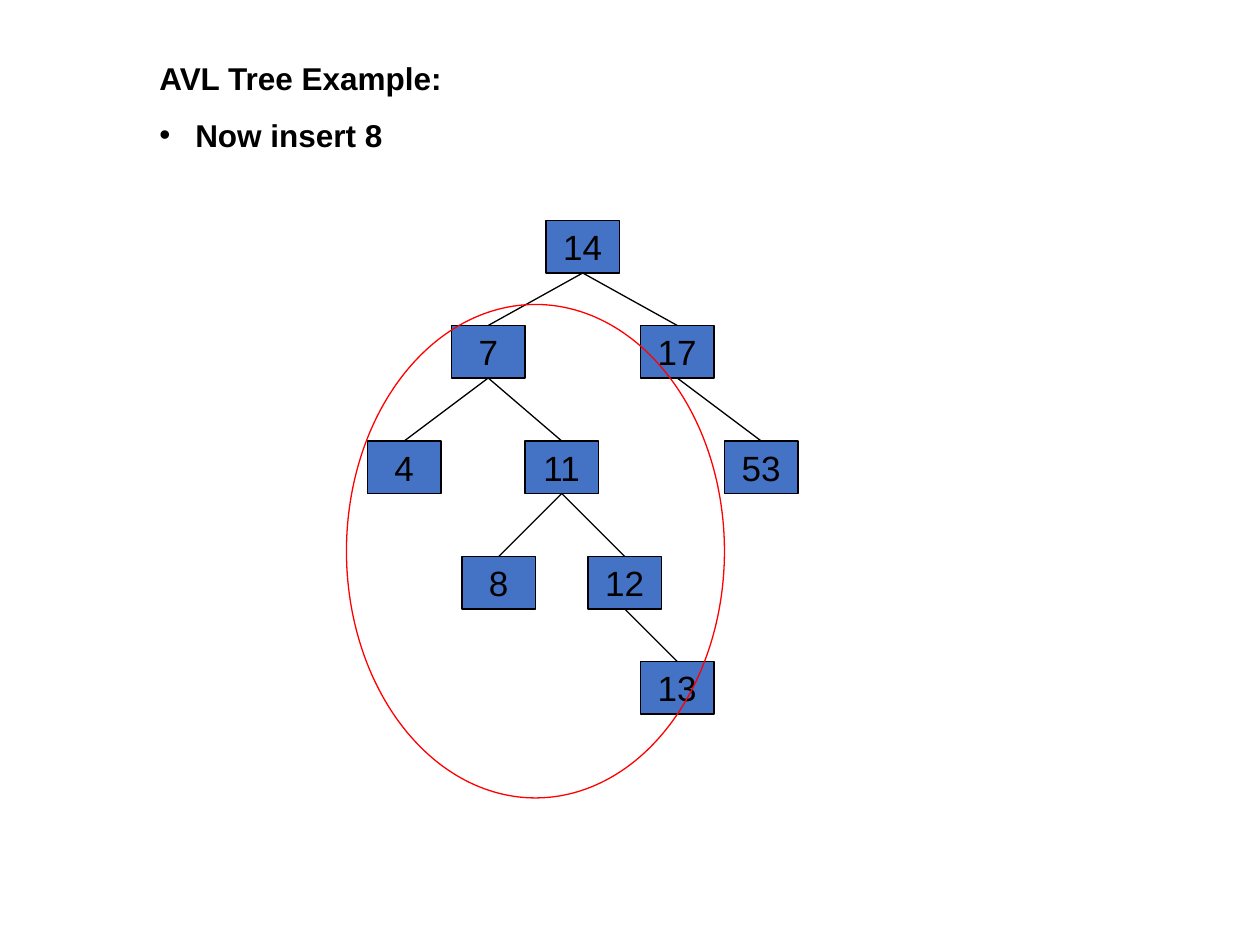
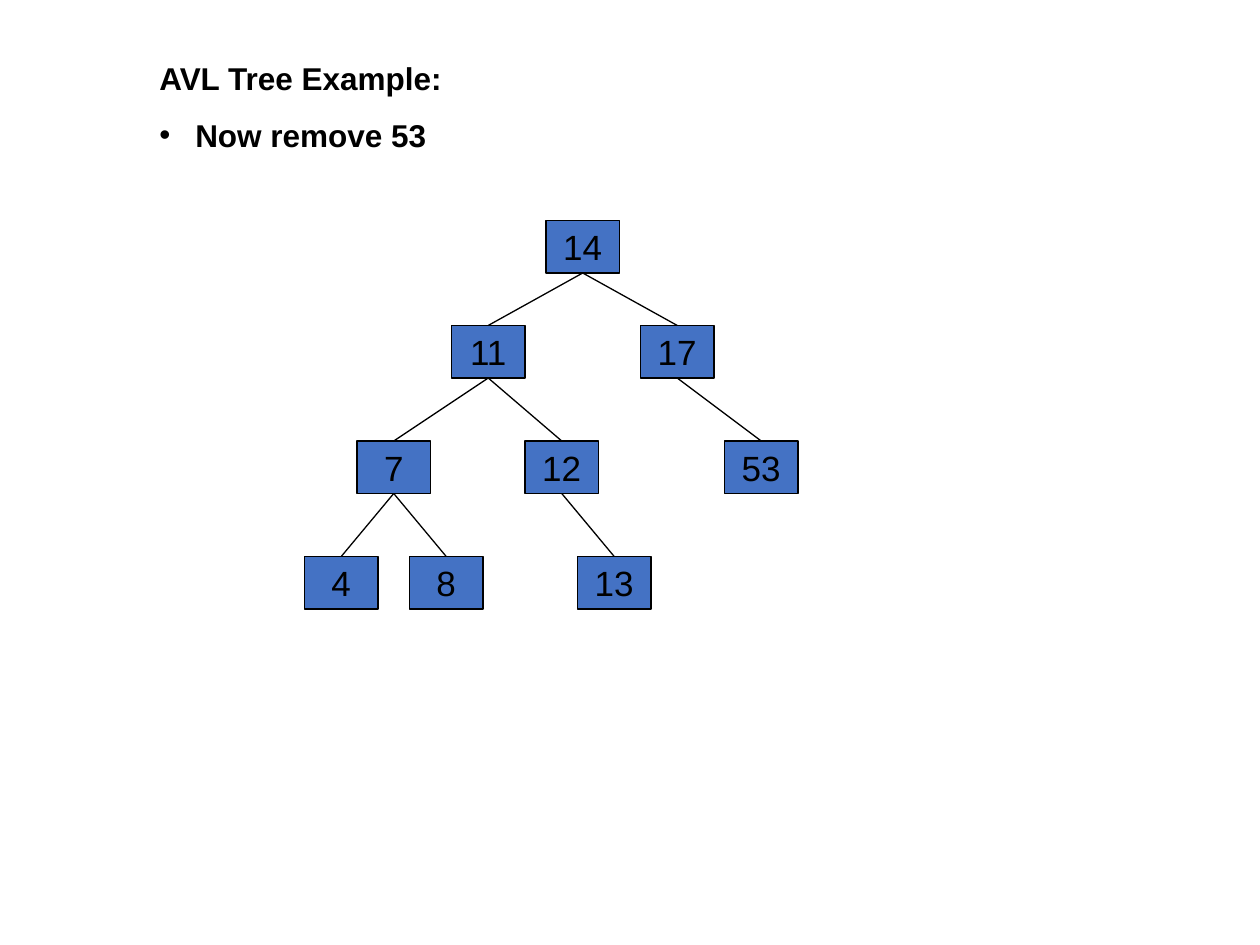
"""Build two slides that show an AVL tree before and after a rotation."""
from lxml.etree import SubElement as Sub
from pptx import Presentation
from pptx.dml.color import RGBColor
from pptx.enum.shapes import MSO_CONNECTOR as Link, MSO_SHAPE as Form
from pptx.enum.text import MSO_ANCHOR as Anchor, MSO_AUTO_SIZE as Fit, PP_ALIGN as Align
from pptx.oxml.ns import qn
from pptx.util import Pt

BLACK = RGBColor(0x00, 0x00, 0x00)
BLUE = RGBColor(0x44, 0x72, 0xC4)
RED = RGBColor(0xFF, 0x00, 0x00)
FONT = "Arial"
WIDE, HIGH = 42, 30
ROWS = [126, 186, 252, 318, 378]

STEPS = [
    {
        "task": "Now insert 8",
        "nodes": {14: (312, 0), 7: (258, 1), 17: (366, 1), 4: (210, 2), 11: (300, 2),
                  53: (414, 2), 8: (264, 3), 12: (336, 3), 13: (366, 4)},
        "edges": [(14, 7), (14, 17), (7, 4), (7, 11), (17, 53), (11, 8), (11, 12), (12, 13)],
        "ring": (198, 174, 216, 282),
    },
    {
        "task": "Now remove 53",
        "nodes": {14: (312, 0), 11: (258, 1), 17: (366, 1), 7: (204, 2), 12: (300, 2),
                  53: (414, 2), 4: (174, 3), 8: (234, 3), 13: (330, 3)},
        "edges": [(14, 11), (14, 17), (11, 7), (11, 12), (17, 53), (7, 4), (7, 8), (12, 13)],
        "ring": None,
    },
]


def write(para, text, size, bold=False):
    run = para.add_run()
    run.text = text
    run.font.name = FONT
    run.font.size = Pt(size)
    run.font.bold = bold
    run.font.color.rgb = BLACK


def outline(item, color):
    item.line.color.rgb = color
    item.line.width = Pt(0.75)


deck = Presentation()
deck.slide_width = Pt(720)
deck.slide_height = Pt(540)

for step in STEPS:
    slide = deck.slides.add_slide(deck.slide_layouts[6])
    shapes = slide.shapes

    frame = shapes.add_textbox(Pt(84), Pt(30), Pt(564), Pt(62)).text_frame
    frame.word_wrap = True
    frame.auto_size = Fit.SHAPE_TO_FIT_TEXT
    write(frame.paragraphs[0], "AVL Tree Example:", 18, True)
    para = frame.add_paragraph()
    para.space_before = Pt(11.2)
    props = para._p.get_or_add_pPr()
    props.set("marL", str(Pt(20.5)))
    props.set("indent", str(-Pt(20.5)))
    Sub(Sub(props, qn("a:buClr")), qn("a:srgbClr")).set("val", str(BLACK))
    Sub(props, qn("a:buFont")).set("typeface", FONT)
    Sub(props, qn("a:buChar")).set("char", "•")
    write(para, step["task"], 18, True)

    boxes = {}
    for key, (left, row) in step["nodes"].items():
        box = shapes.add_shape(Form.RECTANGLE, Pt(left), Pt(ROWS[row]), Pt(WIDE), Pt(HIGH))
        box.shadow.inherit = False
        box.fill.solid()
        box.fill.fore_color.rgb = BLUE
        outline(box, BLACK)
        frame = box.text_frame
        frame.word_wrap = False
        frame.vertical_anchor = Anchor.MIDDLE
        frame.paragraphs[0].alignment = Align.CENTER
        write(frame.paragraphs[0], str(key), 20)
        boxes[key] = box

    for top, child in step["edges"]:
        edge = shapes.add_connector(Link.STRAIGHT, 0, 0, 0, 0)
        edge.begin_connect(boxes[top], 2)
        edge.end_connect(boxes[child], 0)
        outline(edge, BLACK)
        Sub(edge._element.spPr, qn("a:effectLst"))

    if step["ring"]:
        ring = shapes.add_shape(Form.OVAL, *map(Pt, step["ring"]))
        ring.shadow.inherit = False
        ring.fill.background()
        outline(ring, RED)

deck.save("out.pptx")
